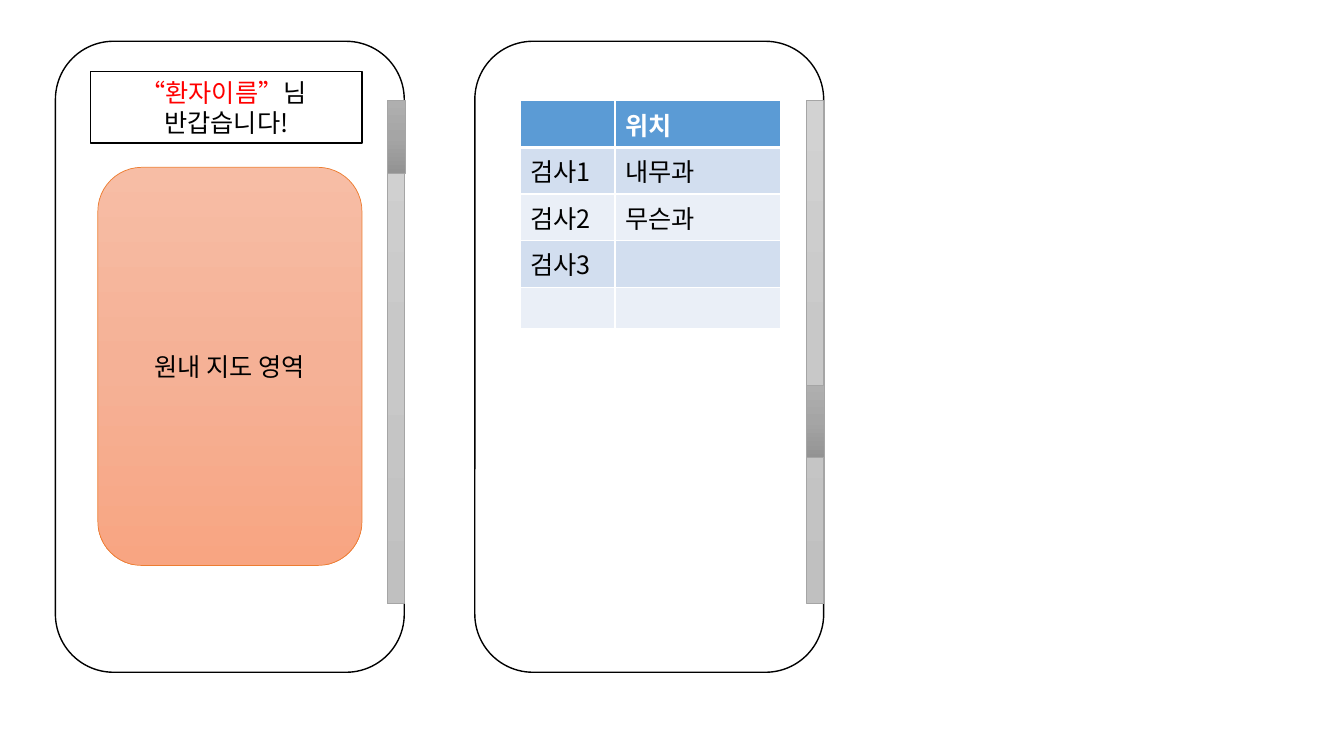
from copy import deepcopy

from lxml import etree
from pptx import Presentation
from pptx.dml.color import RGBColor
from pptx.enum.shapes import MSO_SHAPE
from pptx.enum.text import MSO_ANCHOR, PP_ALIGN
from pptx.oxml.ns import qn
from pptx.util import Inches, Pt

RECT = MSO_SHAPE.RECTANGLE
ROUND = MSO_SHAPE.ROUNDED_RECTANGLE
MIDDLE = MSO_ANCHOR.MIDDLE
CENTER = PP_ALIGN.CENTER
FONT = "Noto Sans CJK KR"
COLORS = {
    "white": "FFFFFF", "black": "000000", "red": "FF0000",
    "orange": "ED7D31", "gray": "A5A5A5",
    "head": "5B9BD5", "odd": "D2DEEF", "even": "EAEFF7",
}
GRADS = {
    "map": ("F7BDA5", "F5B196", "F8A582"),
    "track": ("D2D2D2", "C8C8C8", "C0C0C0"),
    "thumb": ("AFAFAF", "A5A5A5", "939393"),
}
ROWS = [("", "위치"), ("검사1", "내무과"), ("검사2", "무슨과"), ("검사3", ""), ("", "")]


def color(name):
    """Return the named colour."""
    return RGBColor.from_string(COLORS[name])


def add_run(para, text, tint="black", bold=False):
    """Add one styled run to a paragraph."""
    run = para.add_run()
    run.text = text
    run.font.size = Pt(18)
    run.font.bold = bold
    run.font.name = FONT
    run.font.color.rgb = color(tint)
    latin = run.font._element.find(qn("a:latin"))
    east = etree.Element(qn("a:ea"), typeface=FONT)
    latin.addnext(east)


def add_grad(shape, name):
    """Fill a shape with a three-stop gradient from top to bottom."""
    fill = shape.fill
    fill.gradient()
    fill.gradient_angle = 270
    first = shape._element.spPr.find(".//" + qn("a:gs"))
    first.addnext(deepcopy(first))
    for stop, place, tint in zip(fill.gradient_stops, (0, 0.5, 1), GRADS[name]):
        stop.position = place
        stop.color.rgb = RGBColor.from_string(tint)


def add_box(slide, kind, box, line="black", width=1, grad=None):
    """Add an outlined shape and return its centred first paragraph."""
    shape = slide.shapes.add_shape(kind, *map(Inches, box))
    shape.shadow.inherit = False
    if grad:
        add_grad(shape, grad)
    else:
        shape.fill.solid()
        shape.fill.fore_color.rgb = color("white")
    shape.line.color.rgb = color(line)
    shape.line.width = Pt(width)
    shape.text_frame.vertical_anchor = MIDDLE
    para = shape.text_frame.paragraphs[0]
    para.alignment = CENTER
    return para


def add_phone(slide, left, thumb):
    """Add a phone frame."""
    add_box(slide, ROUND, (left, 0.41, 3.46, 6.26))


def add_scroll(slide, left, top):
    """Add a scroll track with its thumb at the given top."""
    add_box(slide, RECT, (left, 1, 0.17, 4.99), "gray", 0.5, "track")
    add_box(slide, RECT, (left, top, 0.18, 0.72), "gray", 0.5, "thumb")


def add_edges(cell, base):
    """Draw white borders around a cell with a given bottom width."""
    props = cell._tc.get_or_add_tcPr()
    for spot, (side, width) in enumerate(zip("LRTB", (1, 1, 1, base))):
        edge = etree.Element(qn("a:ln" + side), w=str(Pt(width)))
        fill = etree.SubElement(edge, qn("a:solidFill"))
        etree.SubElement(fill, qn("a:srgbClr"), val=COLORS["white"])
        props.insert(spot, edge)


def add_grid(slide):
    """Add the table of tests and places."""
    box = map(Inches, (5.16, 1, 2.58, 2.05))
    table = slide.shapes.add_table(len(ROWS), 2, *box).table
    for col, width in zip(table.columns, (0.94, 1.64)):
        col.width = Inches(width)
    for i, row in enumerate(ROWS):
        table.rows[i].height = Inches(0.41)
        band = "head" if i == 0 else "odd" if i % 2 else "even"
        for j, text in enumerate(row):
            cell = table.cell(i, j)
            cell.fill.solid()
            cell.fill.fore_color.rgb = color(band)
            add_edges(cell, 3 if i == 0 else 1)
            if i == 1:
                cell._tc.tcPr.find(qn("a:lnT")).set("w", str(Pt(3)))
            if text:
                tint = "black" if i else "white"
                add_run(cell.text_frame.paragraphs[0], text, tint, i == 0)


def add_hello(slide):
    """Add the greeting to the patient."""
    para = add_box(slide, RECT, (0.9, 0.71, 2.69, 0.71))
    add_run(para, "“환자이름”", "red")
    add_run(para, "님 ")
    para.add_line_break()
    add_run(para, "반갑습니다!")


def main():
    """Build the slide and save it."""
    deck = Presentation()
    deck.slide_width, deck.slide_height = Inches(13.33), Inches(7.5)
    slide = deck.slides.add_slide(deck.slide_layouts[6])
    for left in (0.55, 4.71):
        add_box(slide, ROUND, (left, 0.41, 3.46, 6.26))
    add_hello(slide)
    area = add_box(slide, ROUND, (0.97, 1.66, 2.62, 3.95), "orange", 0.5, "map")
    add_run(area, "원내 지도 영역")
    add_scroll(slide, 3.84, 1)
    add_grid(slide)
    add_scroll(slide, 8, 3.82)
    deck.save("out.pptx")


main()
